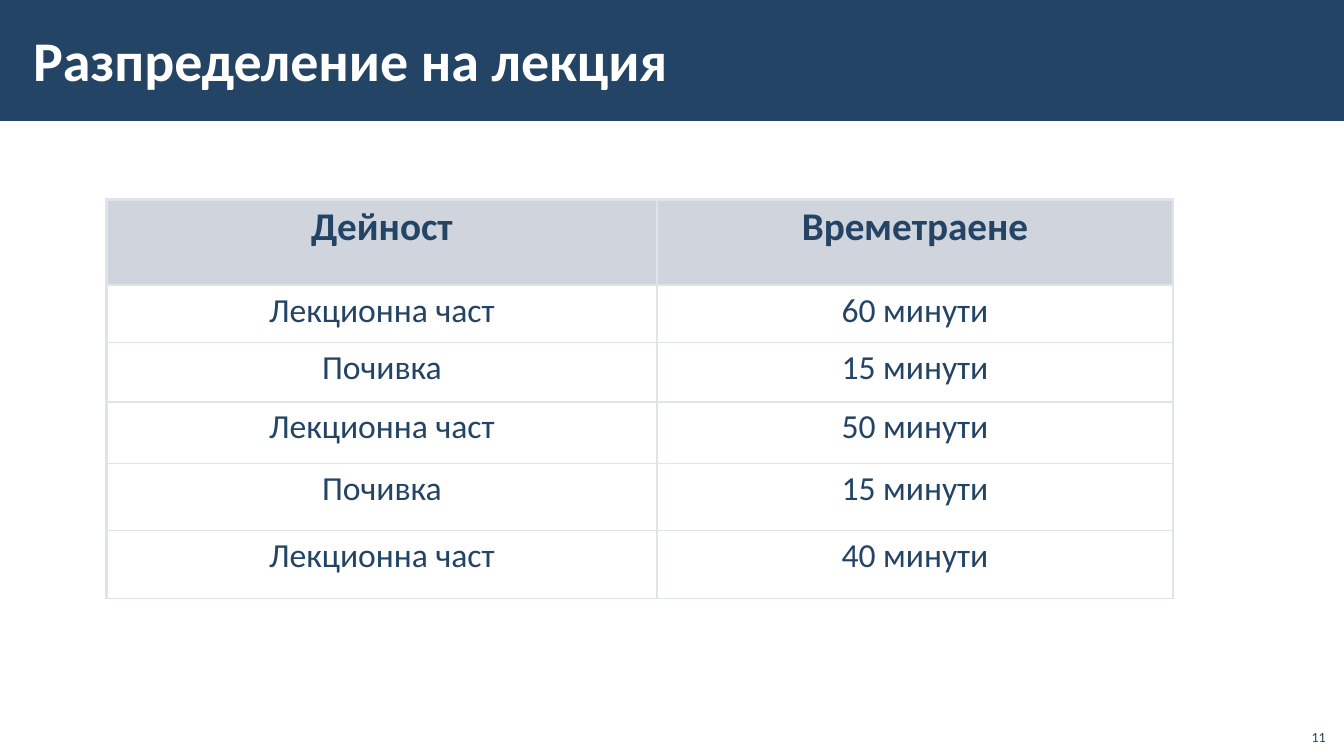
import pptx
import pptx.util
import pptx.dml.color
import pptx.enum.shapes
import pptx.enum.text
import pptx.oxml
import pptx.oxml.ns

Pt = pptx.util.Pt
ANCHOR = pptx.enum.text.MSO_ANCHOR
ALIGN = pptx.enum.text.PP_ALIGN

TITLE = "Разпределение на лекция"
PAGE_NUMBER = "11"
SCHEDULE = [
    ("Дейност", "Времетраене"),
    ("Лекционна част", "60 минути"),
    ("Почивка", "15 минути"),
    ("Лекционна част", "50 минути"),
    ("Почивка", "15 минути"),
    ("Лекционна част", "40 минути"),
]
COLORS = {"navy": "234465", "white": "FFFFFF", "header": "A3ABBC", "border": "E0E3E9"}
SLIDE_SIZE = (960, 540)
BAND_HEIGHT = 86.4
TITLE_BOX = (15.1, 7.9, 764.6, 69.1)
NUMBER_BOX = (925.2, 512.6, 28.8, 23)
TABLE_ORIGIN = (76.3, 142.4)
COLUMN_WIDTHS = [393, 368.6]
ROW_HEIGHTS = [61.2, 41, 42.5, 43.9, 48.2, 48.2]
THICK, THIN = 2.21, 0.96

TITLE_FONT = {"name": "Calibri", "size": Pt(40), "bold": True}
HEADER_FONT = {"name": "Calibri", "size": Pt(28), "bold": True}
BODY_FONT = {"name": "Calibri", "size": Pt(24), "bold": False}
NUMBER_FONT = {"name": "Calibri", "size": Pt(10), "bold": False}
TITLE_FRAME = {"margin_left": Pt(8.6), "margin_right": Pt(8.6), "margin_top": Pt(2.9),
               "margin_bottom": Pt(2.9), "vertical_anchor": ANCHOR.MIDDLE, "word_wrap": True}
NUMBER_FRAME = {"vertical_anchor": ANCHOR.BOTTOM, "word_wrap": True}
CELL_FORMAT = {"margin_left": Pt(11.5), "margin_right": Pt(11.5), "margin_top": Pt(3.6),
               "margin_bottom": Pt(3.6), "vertical_anchor": ANCHOR.TOP}


def apply(target, values):
    for name, value in values.items():
        setattr(target, name, value)


def rgb(name):
    return pptx.dml.color.RGBColor.from_string(COLORS[name])


def write(text_frame, text, font, color, alignment):
    text_frame.text = text
    paragraph = text_frame.paragraphs[0]
    paragraph.alignment = alignment
    run_font = paragraph.runs[0].font
    apply(run_font, font)
    run_font.color.rgb = rgb(color)
    return paragraph


def add_border(cell, side, width):
    namespace = pptx.oxml.ns.nsdecls("a")
    line = pptx.oxml.parse_xml(
        f'<a:ln{side} {namespace} w="{int(Pt(width))}"><a:solidFill>'
        f'<a:srgbClr val="{COLORS["border"]}"/></a:solidFill></a:ln{side}>')
    cell._tc.get_or_add_tcPr().append(line)


def add_header_fill(cell):
    namespace = pptx.oxml.ns.nsdecls("a")
    fill = pptx.oxml.parse_xml(
        f'<a:solidFill {namespace}><a:srgbClr val="{COLORS["header"]}">'
        f'<a:alpha val="50000"/></a:srgbClr></a:solidFill>')
    cell._tc.get_or_add_tcPr().append(fill)


def add_title(slide):
    band = slide.shapes.add_shape(pptx.enum.shapes.MSO_SHAPE.RECTANGLE,
                                  0, 0, Pt(SLIDE_SIZE[0]), Pt(BAND_HEIGHT))
    band.shadow.inherit = False
    band.fill.solid()
    band.fill.fore_color.rgb = rgb("navy")
    band.line.fill.background()
    title = slide.shapes.title
    title.element.addprevious(band.element)
    apply(title, dict(zip(("left", "top", "width", "height"), map(Pt, TITLE_BOX))))
    apply(title.text_frame, TITLE_FRAME)
    write(title.text_frame, TITLE, TITLE_FONT, "white", ALIGN.LEFT)


def add_schedule(slide):
    row_count, column_count = len(SCHEDULE), len(COLUMN_WIDTHS)
    table = slide.shapes.add_table(
        row_count, column_count, *map(Pt, TABLE_ORIGIN),
        Pt(sum(COLUMN_WIDTHS)), Pt(sum(ROW_HEIGHTS))).table
    apply(table, {"first_row": False, "horz_banding": False})
    for column, width in zip(table.columns, COLUMN_WIDTHS):
        column.width = Pt(width)
    for row, height in zip(table.rows, ROW_HEIGHTS):
        row.height = Pt(height)
    for row_index, entries in enumerate(SCHEDULE):
        is_header = row_index == 0
        for column_index, text in enumerate(entries):
            cell = table.cell(row_index, column_index)
            apply(cell, CELL_FORMAT)
            paragraph = write(cell.text_frame, text,
                              HEADER_FONT if is_header else BODY_FONT, "navy", ALIGN.CENTER)
            thick_sides = {"L": column_index == 0, "R": column_index == column_count - 1,
                           "T": row_index <= 1, "B": is_header}
            for side, thick in thick_sides.items():
                add_border(cell, side, THICK if thick else THIN)
            if is_header:
                paragraph.line_spacing = 0.95
                add_header_fill(cell)
            else:
                cell.fill.background()


def add_page_number(slide):
    text_frame = slide.shapes.add_textbox(*map(Pt, NUMBER_BOX)).text_frame
    apply(text_frame, NUMBER_FRAME)
    write(text_frame, PAGE_NUMBER, NUMBER_FONT, "navy", ALIGN.RIGHT)


def main():
    presentation = pptx.Presentation()
    presentation.slide_width, presentation.slide_height = map(Pt, SLIDE_SIZE)
    slide = presentation.slides.add_slide(presentation.slide_layouts.get_by_name("Title Only"))
    add_title(slide)
    add_schedule(slide)
    add_page_number(slide)
    presentation.save("out.pptx")


if __name__ == "__main__":
    main()
